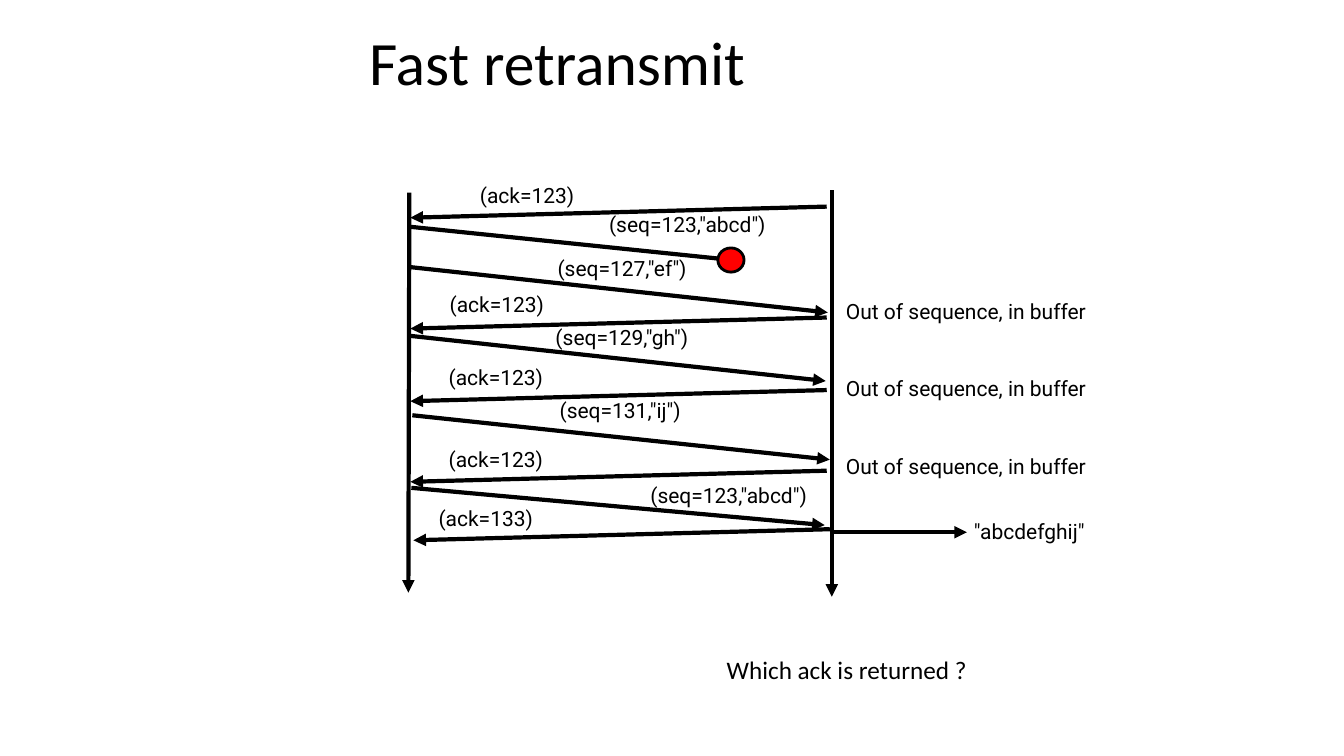
import pptx
import pptx.util
import pptx.dml.color
import pptx.enum.shapes
import pptx.enum.text
from lxml import etree
from pptx.oxml.ns import qn
from pptx.util import Inches, Pt

BLACK = pptx.dml.color.RGBColor(0, 0, 0)
RED = pptx.dml.color.RGBColor(255, 0, 0)
WHITE = pptx.dml.color.RGBColor(255, 255, 255)
MIDDLE = pptx.enum.text.MSO_ANCHOR.MIDDLE

LABEL_HEIGHT = 0.22
ACK_START, ACK_RUN, ACK_DROP = 8.2, 4.13, 0.11
NOTE_LEFT = 8.39

TIMELINES = [(4.06, 1.91, 4.05, 5.88), (8.25, 1.89, 8.25, 5.92)]

# text, label left, label top, arrow start x, arrow start y
ACKS = [
    ("(ack=123)", 4.76, 1.85, ACK_START, 2.05),
    ("(ack=123)", 4.46, 2.93, ACK_START, 3.15),
    ("(ack=123)", 4.45, 3.65, ACK_START, 3.87),
    ("(ack=123)", 4.45, 4.46, ACK_START, 4.67),
    ("(ack=133)", 4.35, 5.05, 8.23, 5.25),
]

# text, label left, label top, label width, arrow ends
SEGMENTS = [
    ('(seq=123,"abcd")', 6.04, 2.13, 1.62, (4.07, 2.25, 7.27, 2.58)),
    ('(seq=127,"ef")', 5.53, 2.57, 1.34, (4.07, 2.65, 8.21, 3.1)),
    ('(seq=129,"gh")', 5.51, 3.25, 1.4, (4.05, 3.33, 8.19, 3.78)),
    ('(seq=131,"ij")', 5.55, 3.98, 1.25, (4.09, 4.12, 8.23, 4.56)),
    ('(seq=123,"abcd")', 6.45, 4.82, 1.62, (4.08, 4.84, 8.18, 5.21)),
]
DELIVERY = (8.23, 5.28, 9.59, 5.28)
BUFFER_NOTE_TOPS = [3, 3.76, 4.53]


class Slide:
    """Holds the diagram's style and the slide being drawn."""

    def __init__(self, prs):
        self.s = prs.slides.add_slide(prs.slide_layouts[5])
        self.s.background.fill.solid()
        self.s.background.fill.fore_color.rgb = WHITE

    def set_text(self, tf, text, font, size, spacing):
        p = tf.paragraphs[0]
        p.text = text
        p.alignment = pptx.enum.text.PP_ALIGN.LEFT
        p.line_spacing = spacing
        p.font.name = font
        p.font.size = Pt(size)
        p.font.color.rgb = BLACK

    def title(self, text, left, top, width, height):
        sp = self.s.shapes.title
        sp.left, sp.top = Inches(left), Inches(top)
        sp.width, sp.height = Inches(width), Inches(height)
        tf = sp.text_frame
        tf.vertical_anchor = MIDDLE
        tf.auto_size = pptx.enum.text.MSO_AUTO_SIZE.NONE
        self.set_text(tf, text, "Calibri", 44, 0.84)

    def textbox(self, left, top, width, height):
        sp = self.s.shapes.add_textbox(
            Inches(left), Inches(top), Inches(width), Inches(height))
        tf = sp.text_frame
        tf.auto_size = pptx.enum.text.MSO_AUTO_SIZE.SHAPE_TO_FIT_TEXT
        return tf

    def label(self, text, left, top, width):
        tf = self.textbox(left, top, width, LABEL_HEIGHT)
        tf.word_wrap = False
        tf.vertical_anchor = MIDDLE
        tf.margin_left = tf.margin_right = tf.margin_top = tf.margin_bottom = 0
        self.set_text(tf, text, "Roboto", 15, 0.84)

    def question(self, text, left, top, width, height):
        tf = self.textbox(left, top, width, height)
        tf.word_wrap = True
        self.set_text(tf, text, "Calibri", 18, 1.0)

    def arrow(self, x1, y1, x2, y2):
        line = self.s.shapes.add_connector(
            pptx.enum.shapes.MSO_CONNECTOR.STRAIGHT,
            Inches(x1), Inches(y1), Inches(x2), Inches(y2))
        line.line.color.rgb = BLACK
        line.line.width = Pt(3)
        props = line._element.spPr
        etree.SubElement(props.find(qn("a:ln")), qn("a:tailEnd"), type="triangle")
        etree.SubElement(props, qn("a:effectLst"))

    def loss_mark(self, left, top, width, height):
        sp = self.s.shapes.add_shape(
            pptx.enum.shapes.MSO_SHAPE.OVAL,
            Inches(left), Inches(top), Inches(width), Inches(height))
        sp.shadow.inherit = False
        sp.fill.solid()
        sp.fill.fore_color.rgb = RED
        sp.line.color.rgb = BLACK
        sp.line.width = Pt(2)


def main():
    prs = pptx.Presentation()
    prs.slide_width, prs.slide_height = Inches(13.33), Inches(7.5)
    slide = Slide(prs)
    slide.title("Fast retransmit", 3.56, 0, 7.83, 1.32)
    for ends in TIMELINES:
        slide.arrow(*ends)
    for text, left, top, x, y in ACKS:
        slide.arrow(x, y, x - ACK_RUN, y + ACK_DROP)
        slide.label(text, left, top, 0.94)
    for text, left, top, width, ends in SEGMENTS:
        slide.arrow(*ends)
        slide.label(text, left, top, width)
    slide.loss_mark(7.12, 2.46, 0.26, 0.24)
    for top in BUFFER_NOTE_TOPS:
        slide.label("Out of sequence, in buffer", NOTE_LEFT, top, 2.42)
    slide.arrow(*DELIVERY)
    slide.label('"abcdefghij"', 9.66, 5.18, 1.11)
    slide.question("Which ack is returned ?", 7.11, 6.44, 6.1, 0.4)
    prs.save("out.pptx")


if __name__ == "__main__":
    main()
